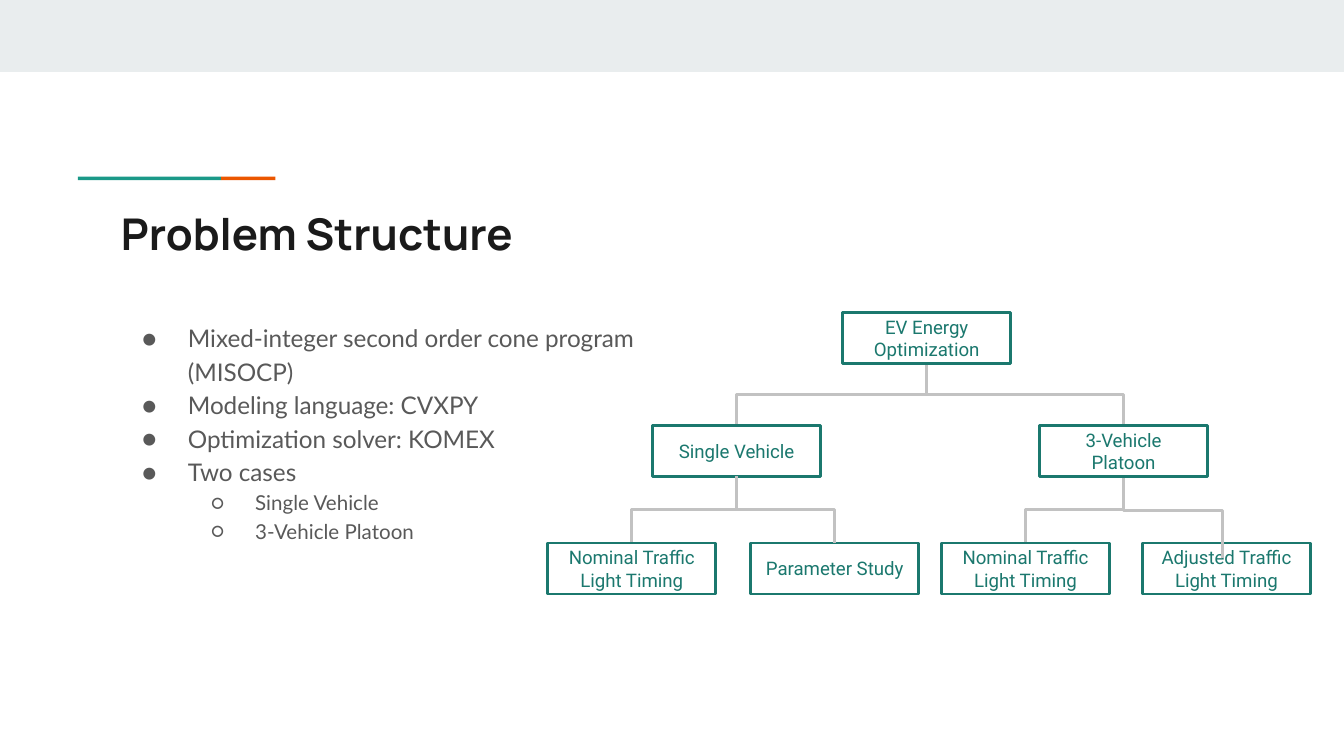
from dataclasses import dataclass

from lxml.etree import SubElement
from pptx import Presentation
from pptx.dml.color import RGBColor
from pptx.enum.shapes import MSO_CONNECTOR, MSO_SHAPE
from pptx.enum.text import MSO_ANCHOR, MSO_AUTO_SIZE, PP_ALIGN
from pptx.oxml.ns import qn
from pptx.slide import Slide
from pptx.text.text import TextFrame, _Paragraph
from pptx.util import Pt

EMU_PER_PX = 4572  # 200 px to the inch


@dataclass(frozen=True)
class Theme:
    band: str = "E9EDEE"
    teal: str = "1A9988"
    orange: str = "EB5600"
    title: str = "1A1A1A"
    body: str = "595959"
    node: str = "1B786E"
    branch: str = "C2C2C2"
    title_font: str = "Manrope"
    body_font: str = "Lato"
    node_font: str = "Roboto"
    title_size: float = 23.4
    body_size: float = 13
    sub_size: float = 11
    node_size: float = 10
    line_width: float = 1.5


@dataclass(frozen=True)
class Node:
    label: str
    left: int
    top: int
    width: int = 250
    height: int = 76

    @property
    def top_middle(self) -> tuple[int, int]:
        return self.left + self.width // 2, self.top

    @property
    def bottom_middle(self) -> tuple[int, int]:
        return self.left + self.width // 2, self.top + self.height


@dataclass(frozen=True)
class Bullet:
    text: str
    level: int = 0


THEME = Theme()

# Decision tree: one root, two cases, four studies
ROOT = Node("EV Energy Optimization", 1254, 465)
SINGLE = Node("Single Vehicle", 971, 633)
PLATOON = Node("3-Vehicle Platoon", 1547, 633)
SINGLE_NOMINAL = Node("Nominal Traffic Light Timing", 815, 808)
PARAMETERS = Node("Parameter Study", 1117, 808)
PLATOON_NOMINAL = Node("Nominal Traffic Light Timing", 1401, 808)
PLATOON_ADJUSTED = Node("Adjusted Traffic Light Timing", 1700, 808)
NODES = [ROOT, SINGLE, PLATOON, PARAMETERS, PLATOON_NOMINAL,
         SINGLE_NOMINAL, PLATOON_ADJUSTED]
BRANCHES = [(ROOT, PLATOON), (ROOT, SINGLE), (SINGLE, SINGLE_NOMINAL),
            (PLATOON, PLATOON_NOMINAL)]

BULLETS = [
    Bullet("Mixed-integer second order cone program (MISOCP)"),
    Bullet("Modeling language: CVXPY"),
    Bullet("Optimization solver: KOMEX"),
    Bullet("Two cases"),
    Bullet("Single Vehicle", 1),
    Bullet("3-Vehicle Platoon", 1),
]


def px(length: float) -> int:
    return round(length * EMU_PER_PX)


def rgb(code: str) -> RGBColor:
    return RGBColor.from_string(code)


def style(paragraph: _Paragraph, font: str, size: float, color: str,
          bold: bool = False) -> None:
    for run in paragraph.runs:
        run.font.name = font
        run.font.size = Pt(size)
        run.font.bold = bold
        run.font.color.rgb = rgb(color)


def set_frame(frame: TextFrame, anchor: MSO_ANCHOR) -> None:
    frame.word_wrap = True
    frame.auto_size = MSO_AUTO_SIZE.NONE
    frame.vertical_anchor = anchor
    frame.margin_left = frame.margin_right = px(20)
    frame.margin_top = frame.margin_bottom = px(20)


def add_bar(slide: Slide, left: int, top: int, width: int, height: int,
            color: str) -> None:
    bar = slide.shapes.add_shape(MSO_SHAPE.RECTANGLE, px(left), px(top),
                                 px(width), px(height))
    bar.shadow.inherit = False
    bar.fill.solid()
    bar.fill.fore_color.rgb = rgb(color)
    bar.line.fill.background()


def add_title(slide: Slide, text: str) -> None:
    title = slide.shapes.title
    title.left, title.top = px(160), px(288)
    title.width, title.height = px(1682), px(118)
    set_frame(title.text_frame, MSO_ANCHOR.TOP)
    title.text_frame.text = text
    heading = title.text_frame.paragraphs[0]
    heading.alignment = PP_ALIGN.LEFT
    style(heading, THEME.title_font, THEME.title_size, THEME.title, bold=True)


def add_bullets(slide: Slide, bullets: list[Bullet]) -> None:
    outline = slide.shapes.add_textbox(px(160), px(455), px(818), px(494))
    frame = outline.text_frame
    set_frame(frame, MSO_ANCHOR.TOP)
    frame.text = "\n".join(bullet.text for bullet in bullets)
    for bullet, paragraph in zip(bullets, frame.paragraphs):
        paragraph.level = bullet.level
        properties = paragraph._p.get_or_add_pPr()
        properties.set("marL", str(px(100 * (bullet.level + 1))))
        properties.set("indent", str(px(-66 if bullet.level else -68)))
        marker_color = SubElement(properties, qn("a:buClr"))
        SubElement(marker_color, qn("a:srgbClr"), val=THEME.body)
        SubElement(properties, qn("a:buFont"), typeface=THEME.body_font)
        SubElement(properties, qn("a:buChar"), char="●○"[bullet.level])
        paragraph.line_spacing = 1.15
        size = THEME.sub_size if bullet.level else THEME.body_size
        style(paragraph, THEME.body_font, size, THEME.body)


def add_node(slide: Slide, node: Node) -> None:
    box = slide.shapes.add_shape(MSO_SHAPE.RECTANGLE, px(node.left), px(node.top),
                                 px(node.width), px(node.height))
    box.shadow.inherit = False
    box.fill.background()
    box.line.color.rgb = rgb(THEME.node)
    box.line.width = Pt(THEME.line_width)
    set_frame(box.text_frame, MSO_ANCHOR.MIDDLE)
    box.text_frame.text = node.label
    label = box.text_frame.paragraphs[0]
    label.alignment = PP_ALIGN.CENTER
    style(label, THEME.node_font, THEME.node_size, THEME.node)


def add_branch(slide: Slide, start: tuple[int, int], end: tuple[int, int],
               bend: float = 0.5) -> None:
    """Draw a down-across-down elbow: a sideways elbow turned a quarter."""
    (x1, y1), (x2, y2) = start, end
    middle_x, middle_y = (x1 + x2) / 2, (y1 + y2) / 2
    goes_right = x2 > x1
    half_length = (y2 - y1) / 2 * (-1 if goes_right else 1)
    half_span = abs(x2 - x1) / 2
    elbow = slide.shapes.add_connector(
        MSO_CONNECTOR.ELBOW,
        px(middle_x - half_length), px(middle_y - half_span),
        px(middle_x + half_length), px(middle_y + half_span))
    elbow.line.color.rgb = rgb(THEME.branch)
    elbow.line.width = Pt(THEME.line_width)
    properties = elbow._element.spPr
    properties.find(qn("a:xfrm")).set("rot", str((270 if goes_right else 90) * 60000))
    guides = properties.find(qn("a:prstGeom")).get_or_add_avLst()
    SubElement(guides, qn("a:gd"), name="adj1", fmla=f"val {round(bend * 100000)}")
    SubElement(properties, qn("a:effectLst"))


def main() -> None:
    deck = Presentation()
    deck.slide_width, deck.slide_height = px(2000), px(1125)
    slide = deck.slides.add_slide(deck.slide_layouts[5])

    # Top band and two-colour accent rule
    add_bar(slide, 0, 0, 2000, 107, THEME.band)
    add_bar(slide, 116, 263, 213, 5, THEME.teal)
    add_bar(slide, 329, 263, 81, 5, THEME.orange)

    # Heading and outline
    add_title(slide, "Problem Structure")
    add_bullets(slide, BULLETS)

    # Tree: branches behind the boxes, then two in front
    for parent, child in BRANCHES:
        add_branch(slide, parent.bottom_middle, child.top_middle)
    for node in NODES:
        add_node(slide, node)
    add_branch(slide, SINGLE.bottom_middle, PARAMETERS.top_middle)
    add_branch(slide, (1672, 732), (1819, 830), bend=0.28)

    deck.save("out.pptx")


if __name__ == "__main__":
    main()
